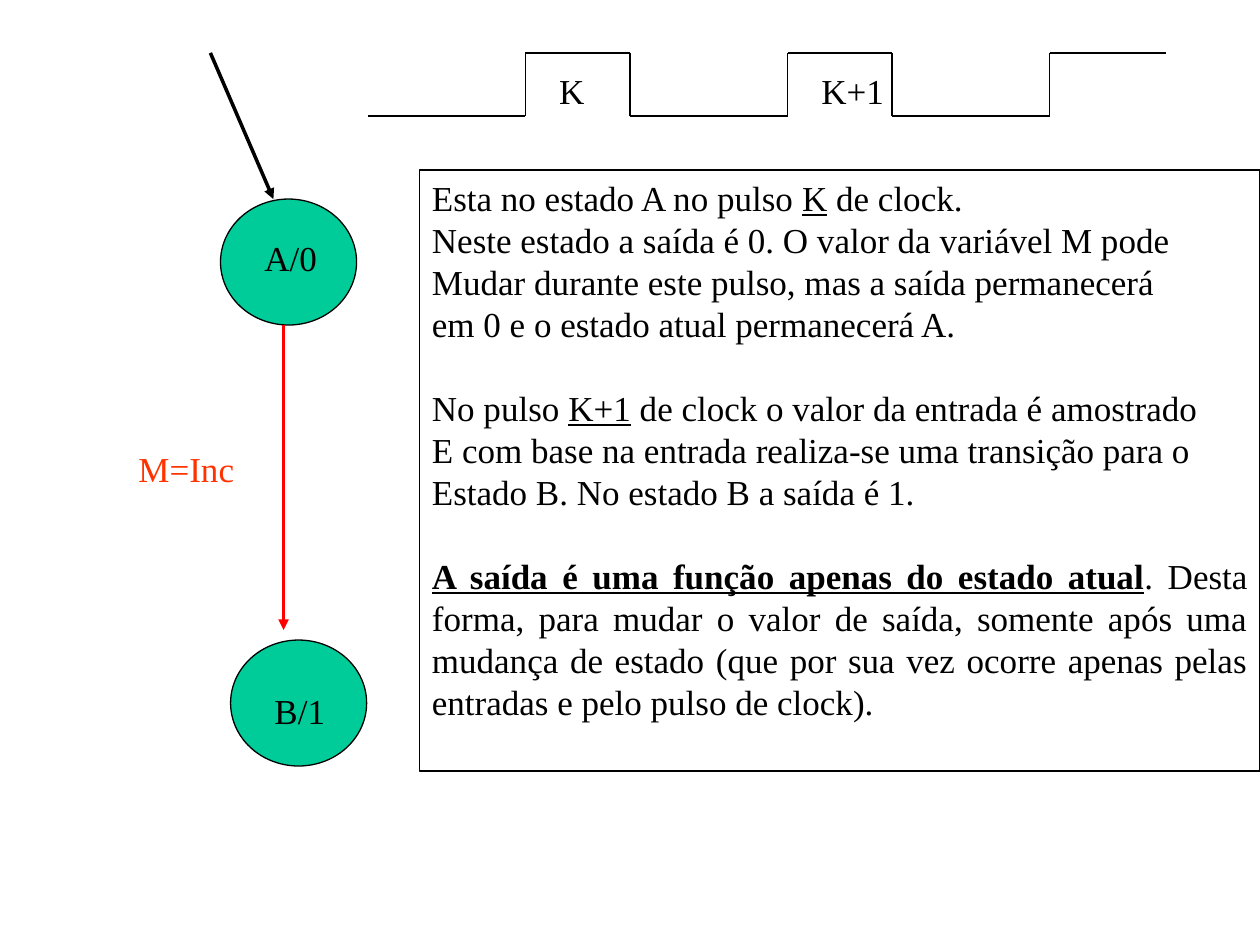
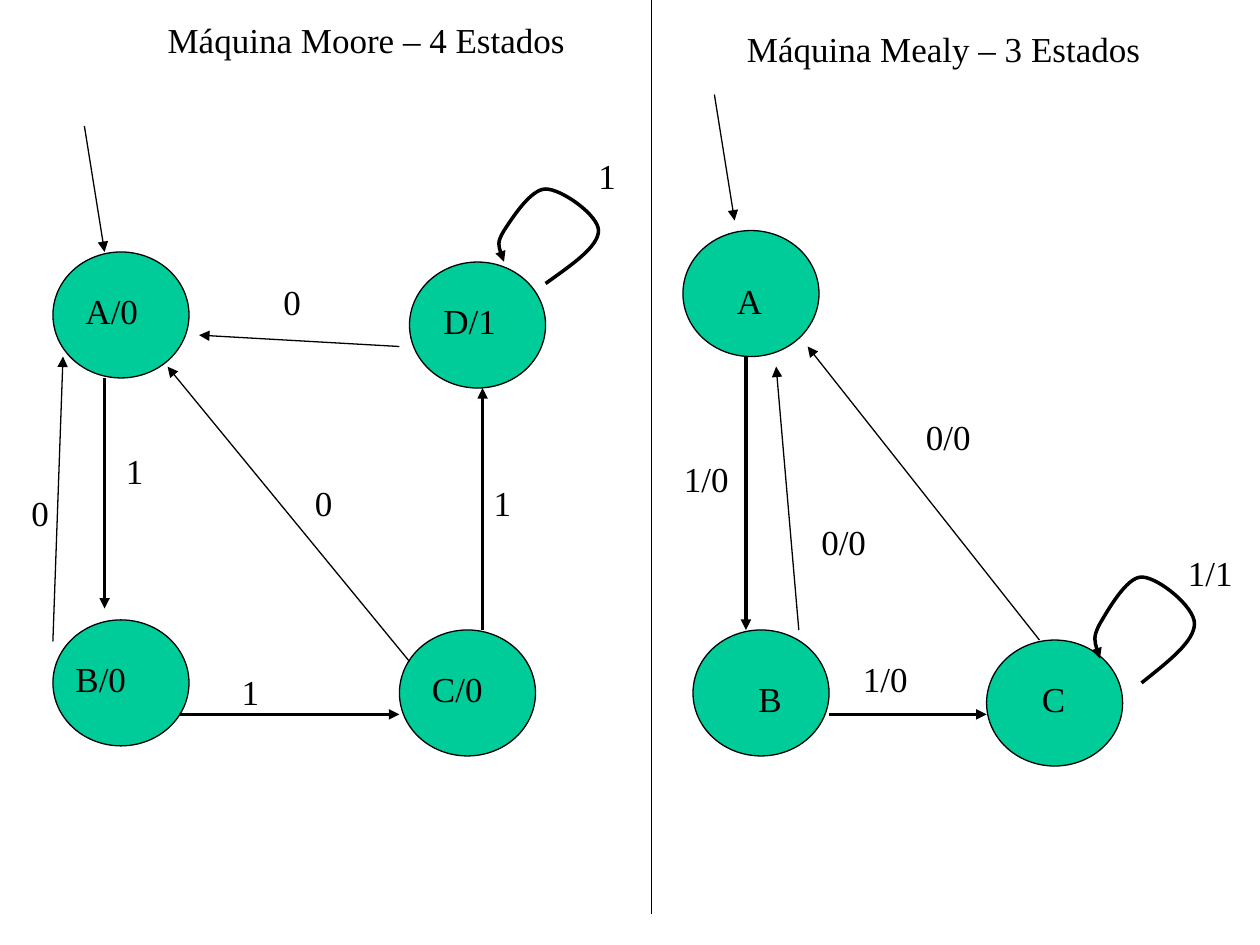
import itertools

import pptx
import pptx.dml.color
import pptx.enum.shapes
import pptx.enum.text
import pptx.oxml.ns
import pptx.util
from lxml import etree

Inches, Pt = pptx.util.Inches, pptx.util.Pt
qn = pptx.oxml.ns.qn
SHAPES = pptx.enum.shapes.MSO_SHAPE
ALIGN = pptx.enum.text.PP_ALIGN
AUTO_SIZE = pptx.enum.text.MSO_AUTO_SIZE

COLORS = {"ink": "000000", "state": "00CC99", "arrow": "FF0000", "input": "FF3300"}
FONT, SIZE = "Times New Roman", 20
THIN, THICK = 0.75, 2
TITLE_ONLY, BLANK = 5, 6

# Offsets of a self-loop from its start: x in inches, y in loop heights
LOOP = [(0.21, -0.2), (0.42, -0.39), (0.42, -0.56),
        (0.42, -0.72), (0.13, -1), (0, -1),
        (-0.12, -1), (-0.27, -0.68), (-0.33, -0.56),
        (-0.39, -0.43), (-0.36, -0.32), (-0.33, -0.23)]


def rgb(name):
    return pptx.dml.color.RGBColor.from_string(COLORS[name])


class Diagram:
    """Draws state diagrams on the current slide in one style."""

    def __init__(self, prs):
        self.prs = prs
        self.s = None

    def new_slide(self, layout):
        self.s = self.prs.slides.add_slide(self.prs.slide_layouts[layout])

    def stroke(self, sp, weight, color="ink", arrow=False):
        sp.line.color.rgb = rgb(color)
        sp.line.width = Pt(weight)
        if arrow:
            etree.SubElement(sp.line._get_or_add_ln(), qn("a:tailEnd"), type="triangle")

    def line(self, x1, y1, x2, y2, weight=THIN, color="ink", arrow=False):
        sp = self.s.shapes.add_connector(
            pptx.enum.shapes.MSO_CONNECTOR.STRAIGHT,
            Inches(x1), Inches(y1), Inches(x2), Inches(y2))
        self.stroke(sp, weight, color, arrow)
        etree.SubElement(sp._element.spPr, qn("a:effectLst"))

    def arrow(self, x1, y1, x2, y2, weight=THIN, color="ink"):
        self.line(x1, y1, x2, y2, weight, color, arrow=True)

    def loop(self, x, y, height):
        """Draw a curved arrow from (x, y) back to its state."""
        builder = self.s.shapes.build_freeform(Inches(x), Inches(y))
        builder.add_line_segments(
            [(Inches(x + dx), Inches(y + dy * height)) for dx, dy in LOOP], close=False)
        sp = builder.convert_to_shape()
        sp.shadow.inherit = False
        sp.fill.background()
        self.stroke(sp, THICK, arrow=True)
        outline = sp._element.find(".//" + qn("a:path"))
        segments = outline.findall(qn("a:lnTo"))
        for i in range(0, len(segments), 3):
            curve = etree.SubElement(outline, qn("a:cubicBezTo"))
            for segment in segments[i:i + 3]:
                curve.append(segment[0])
                outline.remove(segment)

    def shape(self, kind, x, y, w, h, fill=None):
        sp = self.s.shapes.add_shape(kind, Inches(x), Inches(y), Inches(w), Inches(h))
        sp.shadow.inherit = False
        if fill:
            sp.fill.solid()
            sp.fill.fore_color.rgb = rgb(fill)
        else:
            sp.fill.background()
        self.stroke(sp, THIN)
        return sp

    def state(self, x, y):
        self.shape(SHAPES.OVAL, x, y, 1.08, 1, "state")

    def style(self, p, color="ink", align=ALIGN.LEFT):
        p.alignment = align
        p.font.name, p.font.size = FONT, Pt(SIZE)
        p.font.color.rgb = rgb(color)

    def frame(self, sp, wrap, auto_size=AUTO_SIZE.NONE):
        tf = sp.text_frame
        tf.word_wrap = wrap
        tf.auto_size = auto_size
        tf.vertical_anchor = pptx.enum.text.MSO_ANCHOR.TOP
        return tf

    def text(self, x, y, text, w, color="ink", wrap=False):
        sp = self.s.shapes.add_textbox(Inches(x), Inches(y), Inches(w), Inches(0.44))
        p = self.frame(sp, wrap, AUTO_SIZE.SHAPE_TO_FIT_TEXT).paragraphs[0]
        p.text = text
        self.style(p, color)

    def label(self, x, y, text):
        """Name a transition by its input, or by its input/output."""
        self.text(x, y, text, 0.34 if len(text) == 1 else 0.56)

    def title(self, x, y, text, w):
        sp = self.s.shapes.title
        sp.left, sp.top, sp.width, sp.height = map(Inches, (x, y, w, 0.44))
        tf = self.frame(sp, True)
        tf.text = text
        self.style(tf.paragraphs[0])

    def note(self, x, y, w, h, blocks):
        """Fill a frame with blocks of paragraphs; each run is (text, underline, bold)."""
        tf = self.frame(self.shape(SHAPES.RECTANGLE, x, y, w, h), True)
        p = None
        for block in blocks:
            for i, runs in enumerate(block):
                gap = p is not None and i == 0
                p = tf.add_paragraph() if p is not None else tf.paragraphs[0]
                self.style(p, align=ALIGN.JUSTIFY)
                if gap:
                    p.space_before = Pt(24)
                for text, underline, bold in runs:
                    r = p.add_run()
                    r.text = text
                    r.font.underline, r.font.bold = underline, bold


def plain(text):
    return (text, False, False)


def underlined(text, bold=False):
    return (text, True, bold)


NOTE = [
    [[plain("Esta no estado A no pulso "), underlined("K"), plain(" de clock.")],
     [plain("Neste estado a saída é 0. O valor da variável M pode")],
     [plain("Mudar durante este pulso, mas a saída permanecerá")],
     [plain("em 0 e o estado atual permanecerá A.")]],
    [[plain("No pulso "), underlined("K+1"),
      plain(" de clock o valor da entrada é amostrado")],
     [plain("E com base na entrada realiza-se uma transição para o ")],
     [plain("Estado B. No estado B a saída é 1.")]],
    [[underlined("A saída é uma função apenas do estado atual", bold=True),
      plain(". Desta forma, para mudar o valor de saída, somente após uma mudança "
            "de estado (que por sua vez ocorre apenas pelas entradas e pelo pulso "
            "de clock).")]],
]


def clock(d):
    high, low = 0.42, 0.92
    edges = [2.92, 4.17, 5, 6.25, 7.08, 8.33, 9.25]
    for i, (start, end) in enumerate(itertools.pairwise(edges)):
        level = high if i % 2 else low
        d.line(start, level, end, level)
        if i:
            d.line(start, low, start, high)
    d.text(4.34, 0.5, "K", 0.4)
    d.text(6.42, 0.5, "K+1", 0.7)


def transition_slide(d):
    d.new_slide(BLANK)
    d.state(1.75, 1.58)
    d.arrow(1.67, 0.42, 2.17, 1.58, THICK)
    d.text(2, 1.83, "A/0", 0.62)
    d.state(1.83, 5.08)
    d.text(2.08, 5.42, "B/1", 0.61)
    d.arrow(2.25, 2.58, 2.25, 5, THICK, "arrow")
    d.note(3.33, 1.35, 6.67, 4.77, NOTE)
    d.text(1, 3.5, "M=Inc", 1.08, "input", wrap=True)
    clock(d)


def moore(d):
    d.title(1.23, 0.1, "Máquina Moore – 4 Estados", 3.52)
    for x, y, name, name_x in [(0.42, 2, "A/0", 0.58), (0.42, 4.92, "B/0", 0.5),
                               (3.17, 5, "C/0", 3.33), (3.25, 2.08, "D/1", 3.42)]:
        d.state(x, y)
        d.text(name_x, y + 0.25, name, 0.75, wrap=True)
    for ends in [(0.67, 1, 0.83, 2), (0.42, 5.09, 0.5, 2.83),
                 (3.25, 5.25, 1.33, 2.91), (3.17, 2.75, 1.58, 2.66)]:
        d.arrow(*ends)
    for ends in [(0.83, 3, 0.83, 4.83), (1.42, 5.67, 3.17, 5.67), (3.83, 5, 3.83, 3.08)]:
        d.arrow(*ends, THICK)
    d.loop(4.33, 2.25, 0.75)
    for x, y, text in [(0.9, 3.52, "1"), (1.82, 5.27, "1"), (3.82, 3.77, "1"),
                       (4.65, 1.18, "1"), (0.15, 3.85, "0"), (2.4, 3.77, "0"),
                       (2.15, 2.18, "0")]:
        d.label(x, y, text)


def mealy(d):
    d.text(5.83, 0.17, "Máquina Mealy – 3 Estados", 3.32)
    for x, y, name, name_x, name_y, w in [(5.42, 1.83, "A", 5.75, 2.17, 0.42),
                                          (5.5, 5, "B", 5.92, 5.33, 0.38),
                                          (7.83, 5.08, "C", 8.17, 5.33, 0.38)]:
        d.state(x, y)
        d.text(name_x, name_y, name, w)
    for ends in [(5.67, 0.75, 5.83, 1.75), (8.25, 5.08, 6.41, 2.75),
                 (6.34, 5, 6.16, 2.91)]:
        d.arrow(*ends)
    for ends in [(5.92, 2.83, 5.92, 5), (6.58, 5.67, 7.83, 5.67)]:
        d.arrow(*ends, THICK)
    d.loop(9.06, 5.42, 0.84)
    for x, y, text in [(9.33, 4.33, "1/1"), (5.33, 3.58, "1/0"), (6.75, 5.17, "1/0"),
                       (6.42, 4.08, "0/0"), (7.25, 3.25, "0/0")]:
        d.label(x, y, text)


def comparison_slide(d):
    d.new_slide(TITLE_ONLY)
    moore(d)
    d.line(5.17, 0, 5.17, 7.25)
    mealy(d)


def main():
    prs = pptx.Presentation()
    prs.slide_width, prs.slide_height = Inches(10), Inches(7.5)
    d = Diagram(prs)
    transition_slide(d)
    comparison_slide(d)
    prs.save("out.pptx")


if __name__ == "__main__":
    main()
